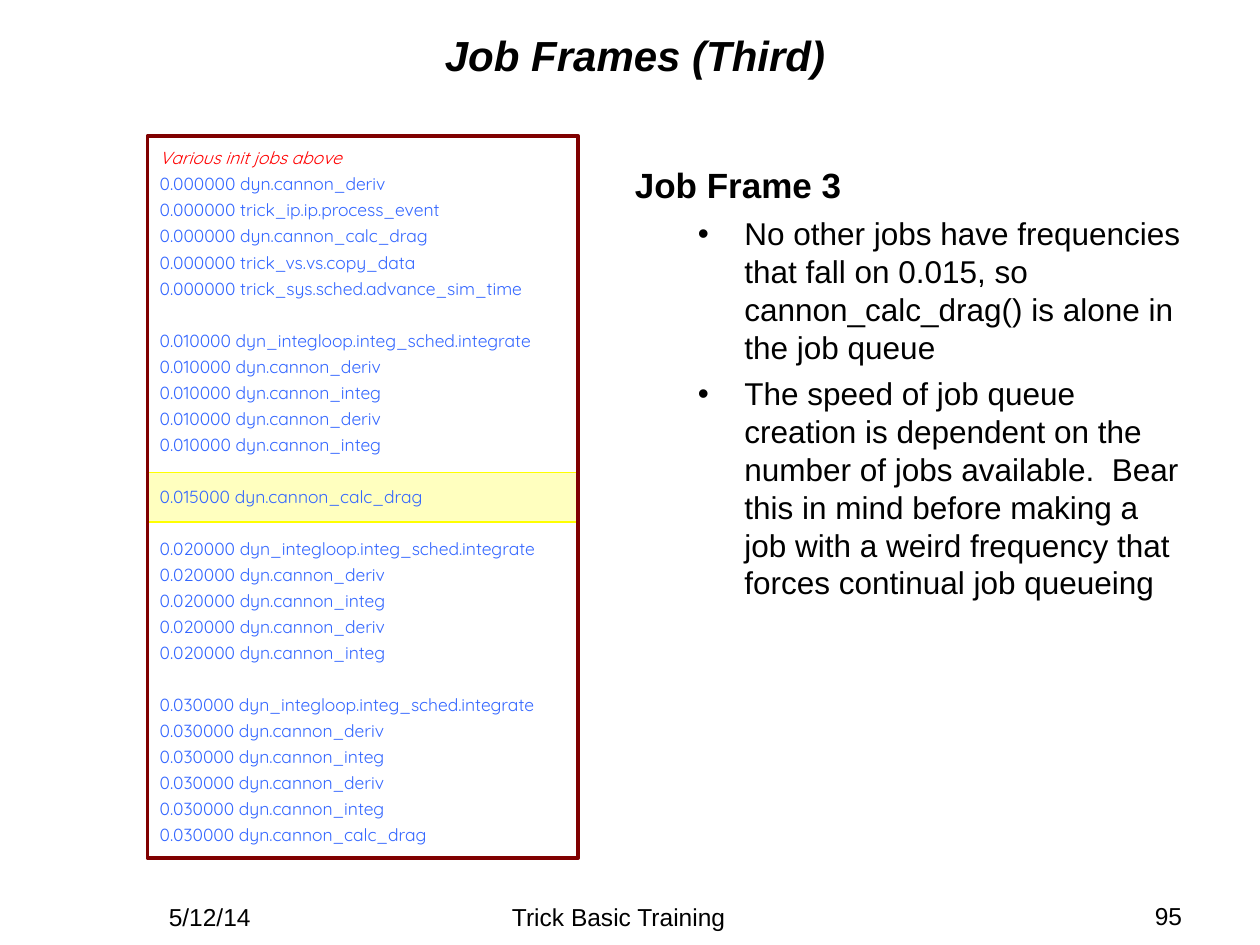
from lxml import etree
from pptx import Presentation
from pptx import util as u
from pptx.dml.color import RGBColor
from pptx.enum import shapes, text
from pptx.oxml.ns import qn

Pt = u.Pt
ALIGN = text.PP_ALIGN

# Content
TITLE = "Job Frames (Third)"
INIT_NOTE = "Various init jobs above"
INTEGRATION = ["dyn_integloop.integ_sched.integrate"] + ["dyn.cannon_deriv", "dyn.cannon_integ"] * 2
FRAMES = [
    ("0.000000", ["dyn.cannon_deriv", "trick_ip.ip.process_event", "dyn.cannon_calc_drag",
                  "trick_vs.vs.copy_data", "trick_sys.sched.advance_sim_time"]),
    ("0.010000", INTEGRATION),
    ("0.015000", ["dyn.cannon_calc_drag"]),
    ("0.020000", INTEGRATION),
    ("0.030000", INTEGRATION + ["dyn.cannon_calc_drag"]),
]
HEADING = "Job Frame 3"
POINTS = [
    "No other jobs have frequencies that fall on 0.015, so cannon_calc_drag() "
    "is alone in the job queue",
    "The speed of job queue creation is dependent on the number of jobs available.  "
    "Bear this in mind before making a job with a weird frequency that forces "
    "continual job queueing",
]
FOOTERS = [  # text, left, top, width, height, alignment
    ("5/12/14", 36, 506.9, 167.8, 24.5, ALIGN.CENTER),
    ("95", 514.8, 506.2, 167.8, 28, ALIGN.RIGHT),
    ("Trick Basic Training", 239.8, 506.9, 227.5, 28, ALIGN.CENTER),
]
COLORS = {"text": "000000", "note": "FF0000", "job": "3366FF",
          "frame": "800000", "highlight": "FFFF00"}
LIST_LEFT, LIST_WIDTH = 84.2, 246.2
JOB_PITCH = 14.88
HANG = 26.64


def color(name):
    return RGBColor.from_string(COLORS[name])


def add_text(frame, words, size=18, font="Arial", ink="text", bold=False, italic=False,
             align=ALIGN.LEFT, spacing=None, before=0, margin=0, bullet=None):
    """Write one paragraph, using the empty first one when it is free."""
    first = frame.paragraphs[0]
    para = frame.add_paragraph() if first.runs else first
    para.alignment = align
    para.line_spacing = spacing
    para.space_before = Pt(before)
    props = para._p.get_or_add_pPr()
    if margin:
        props.set("marL", str(Pt(margin)))
        props.set("indent", str(-Pt(HANG)))
    if bullet:
        etree.SubElement(props, qn("a:buFont"), typeface="Arial")
        etree.SubElement(props, qn("a:buChar"), char=bullet)
    run = para.add_run()
    run.text = words
    run.font.name, run.font.size = font, Pt(size)
    run.font.bold, run.font.italic = bold, italic
    run.font.color.rgb = color(ink)


def add_box(left, top, width, height, inset_top=3.6):
    frame = slide.shapes.add_textbox(Pt(left), Pt(top), Pt(width), Pt(height)).text_frame
    frame.word_wrap = True
    frame.margin_top = Pt(inset_top)
    return frame


def add_outline(kind, top, height, ink, weight):
    shape = slide.shapes.add_shape(kind, Pt(LIST_LEFT), Pt(top), Pt(LIST_WIDTH), Pt(height))
    shape.shadow.inherit = False
    shape.fill.background()
    shape.line.color.rgb = color(ink)
    shape.line.width = Pt(weight)
    return shape


deck = Presentation()
deck.slide_width, deck.slide_height = Pt(720), Pt(540)
slide = deck.slides.add_slide(deck.slide_layouts[6])

# Translucent band behind the current frame
band = add_outline(shapes.MSO_SHAPE.ROUNDED_RECTANGLE, 270, 28.1, "highlight", 1)
band.adjustments[0] = 0
band.fill.solid()
band.fill.fore_color.rgb = color("highlight")
tint = band._element.spPr.find(qn("a:solidFill")).find(qn("a:srgbClr"))
etree.SubElement(tint, qn("a:alpha"), val="25000")

# Title
title = add_box(72, 10.1, 581.8, 36)
title.vertical_anchor = text.MSO_ANCHOR.MIDDLE
add_text(title, TITLE, size=24, bold=True, italic=True, align=ALIGN.CENTER, spacing=1.24)

# Job queue, with one line of space between frames
queue = add_outline(shapes.MSO_SHAPE.RECTANGLE, 77.8, 412.6, "frame", 2).text_frame
queue.word_wrap = True
queue.vertical_anchor = text.MSO_ANCHOR.TOP
job_style = dict(size=10, font="Quicksand", spacing=Pt(JOB_PITCH))
add_text(queue, INIT_NOTE, ink="note", italic=True, **job_style)
for frame_no, (time, jobs) in enumerate(FRAMES):
    for job_no, job in enumerate(jobs):
        gap = JOB_PITCH if frame_no and not job_no else 0
        add_text(queue, f"{time} {job}", ink="job", before=gap, **job_style)

# Explanation
body = add_box(355.7, 90, 328.3, 392.4)
add_text(body, HEADING, size=20, bold=True, margin=HANG, spacing=Pt(24))
for point in POINTS:
    add_text(body, point, margin=HANG + 36, bullet="•", before=5, spacing=Pt(21.6))

# Footer
for words, left, top, width, height, align in FOOTERS:
    add_text(add_box(left, top, width, height, inset_top=8.6), words, size=14, align=align)

deck.save("out.pptx")
